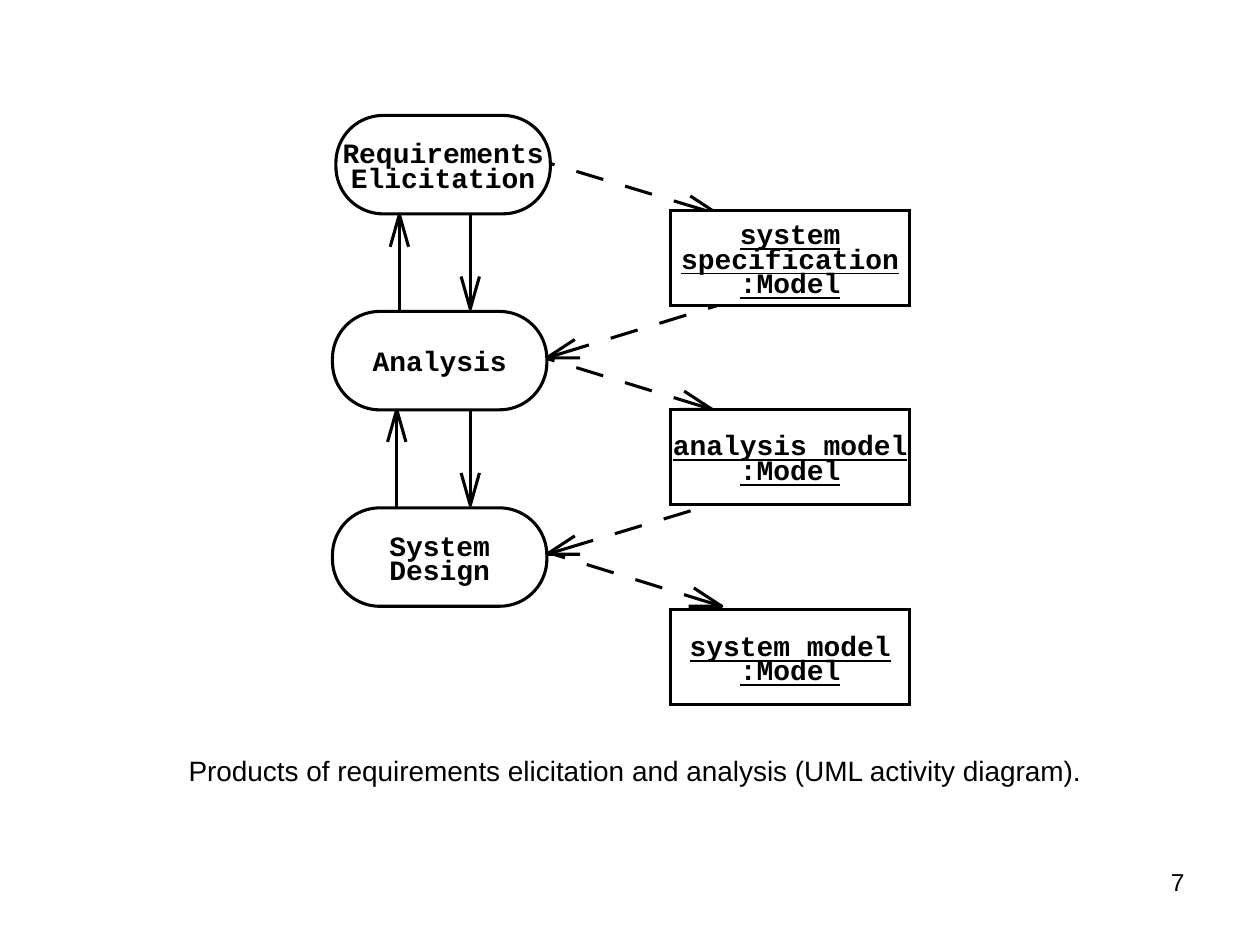
from math import dist

from pptx import Presentation
from pptx.dml.color import RGBColor
from pptx.enum.shapes import MSO_CONNECTOR as Connector, MSO_SHAPE as Shape
from pptx.enum.text import MSO_ANCHOR as Anchor, PP_ALIGN as Align
from pptx.oxml import parse_xml
from pptx.oxml.ns import nsdecls
from pptx.util import Pt

COLORS = {"ink": "000000", "paper": "FFFFFF"}
LINE_WIDTH = 1.75
DASH, GAP = 16, 13
STEM = 18.5

STATES = [  # left, top, lines
    (192, 66, ["Requirements", "Elicitation"]),
    (190, 178, ["Analysis"]),
    (190, 290.25, ["System", "Design"]),
]
STATE_SIZE = (122.5, 56.25)
MODELS = [
    (383, 120.25, ["system", "specification", ":Model"]),
    (383, 234, ["analysis model", ":Model"]),
    (383, 348.5, ["system model", ":Model"]),
]
MODEL_SIZE = (137, 54.25)

TRANSITIONS = [  # start, end
    ((268.75, 120.25), (268.75, 176.5)),
    ((228.25, 178), (228.25, 122.5)),
    ((268.75, 232.5), (268.75, 288.75)),
    ((226.75, 290.25), (226.75, 234)),
]
OBJECT_FLOWS = [  # each starts behind its node, so the first dash is partly covered
    ((301.5, 89.5), (410.5, 122.5)),
    ((420, 171.5), (312.5, 204.5)),
    ((301.5, 201.5), (407, 234)),
    ((422.5, 283.5), (312.5, 316.75)),
    ((307.5, 314), (412.5, 346.5)),
]


def color(name):
    return RGBColor.from_string(COLORS[name])


def add_span(para, text, font, size, bold=False, underline=None):
    span = para.add_run()
    span.text = text
    span.font.name = font
    span.font.size = Pt(size)
    span.font.bold = bold
    span.font.underline = underline
    span.font.color.rgb = color("ink")


def draw_outline(line):
    line.color.rgb = color("ink")
    line.width = Pt(LINE_WIDTH)


def add_node(page, kind, box, lines, underline=None):
    node = page.shapes.add_shape(kind, *map(Pt, box))
    node.shadow.inherit = False
    node.fill.solid()
    node.fill.fore_color.rgb = color("paper")
    draw_outline(node.line)
    node.line._get_or_add_ln().append(
        parse_xml(f'<a:miter {nsdecls("a")} lim="800000"/>'))
    if kind == Shape.ROUNDED_RECTANGLE:
        node.adjustments[0] = 0.48
    frame = node.text_frame
    frame.word_wrap = False
    frame.vertical_anchor = Anchor.MIDDLE
    frame.margin_left = frame.margin_right = frame.margin_bottom = 0
    frame.margin_top = Pt(5.25)
    for index, text in enumerate(lines):
        para = frame.add_paragraph() if index else frame.paragraphs[0]
        para.alignment = Align.CENTER
        para.line_spacing = Pt(14)
        add_span(para, text, "Courier New", 16, bold=True, underline=underline)


def add_line(page, start, end, dashed=False):
    connector = page.shapes.add_connector(Connector.STRAIGHT, *map(Pt, start + end))
    draw_outline(connector.line)
    if dashed:
        dash, gap = (round(part / LINE_WIDTH * 100000) for part in (DASH, GAP))
        connector.line._get_or_add_ln().append(parse_xml(
            f'<a:custDash {nsdecls("a")}><a:ds d="{dash}" sp="{gap}"/></a:custDash>'))
    connector._element.spPr.append(parse_xml(f'<a:effectLst {nsdecls("a")}/>'))


def add_arrow(page, start, end, barbs, dashed=False):
    """Draw a shaft, a solid stem and an open head with barbs offset from its tip."""
    share = STEM / dist(start, end)
    joint = tuple(tip + (tail - tip) * share for tail, tip in zip(start, end))
    add_line(page, start, joint, dashed)
    add_line(page, joint, end)

    first, last = [(Pt(end[0] + dx), Pt(end[1] + dy)) for dx, dy in barbs]
    outline = page.shapes.build_freeform(*first)
    outline.add_line_segments([tuple(map(Pt, end)), last], close=False)
    head = outline.convert_to_shape()
    head.shadow.inherit = False
    head.fill.background()
    draw_outline(head.line)


def add_transition(page, start, end):
    back = STEM if end[1] < start[1] else -STEM
    add_arrow(page, start, end, [(-5.25, back), (5.25, back)])


def add_object_flow(page, start, end):
    back = 1 if end[0] < start[0] else -1
    add_arrow(page, start, end, [(16 * back, -10.5), (19 * back, 0)], dashed=True)


def add_label(page, box, text, size, alignment, anchor):
    label = page.shapes.add_textbox(*map(Pt, box))
    frame = label.text_frame
    frame.word_wrap = True
    frame.vertical_anchor = anchor
    frame.paragraphs[0].alignment = alignment
    add_span(frame.paragraphs[0], text, "Arial", size)


def add_diagram(page):
    for start, end in TRANSITIONS:
        add_transition(page, start, end)
    for start, end in OBJECT_FLOWS:
        add_object_flow(page, start, end)
    for left, top, lines in MODELS:
        add_node(page, Shape.RECTANGLE, (left, top, *MODEL_SIZE), lines, underline=True)
    for left, top, lines in STATES:
        add_node(page, Shape.ROUNDED_RECTANGLE, (left, top, *STATE_SIZE), lines)


def main():
    deck = Presentation()
    deck.slide_width, deck.slide_height = Pt(720), Pt(540)
    page = deck.slides.add_slide(deck.slide_layouts[6])
    add_diagram(page)
    add_label(page, (41.75, 426.25, 642.25, 28),
              "Products of requirements elicitation and analysis (UML activity diagram).",
              16, Align.CENTER, Anchor.MIDDLE)
    add_label(page, (516.25, 491.75, 167.75, 37.5), "7", 14, Align.RIGHT, Anchor.TOP)
    deck.save("out.pptx")


if __name__ == "__main__":
    main()
